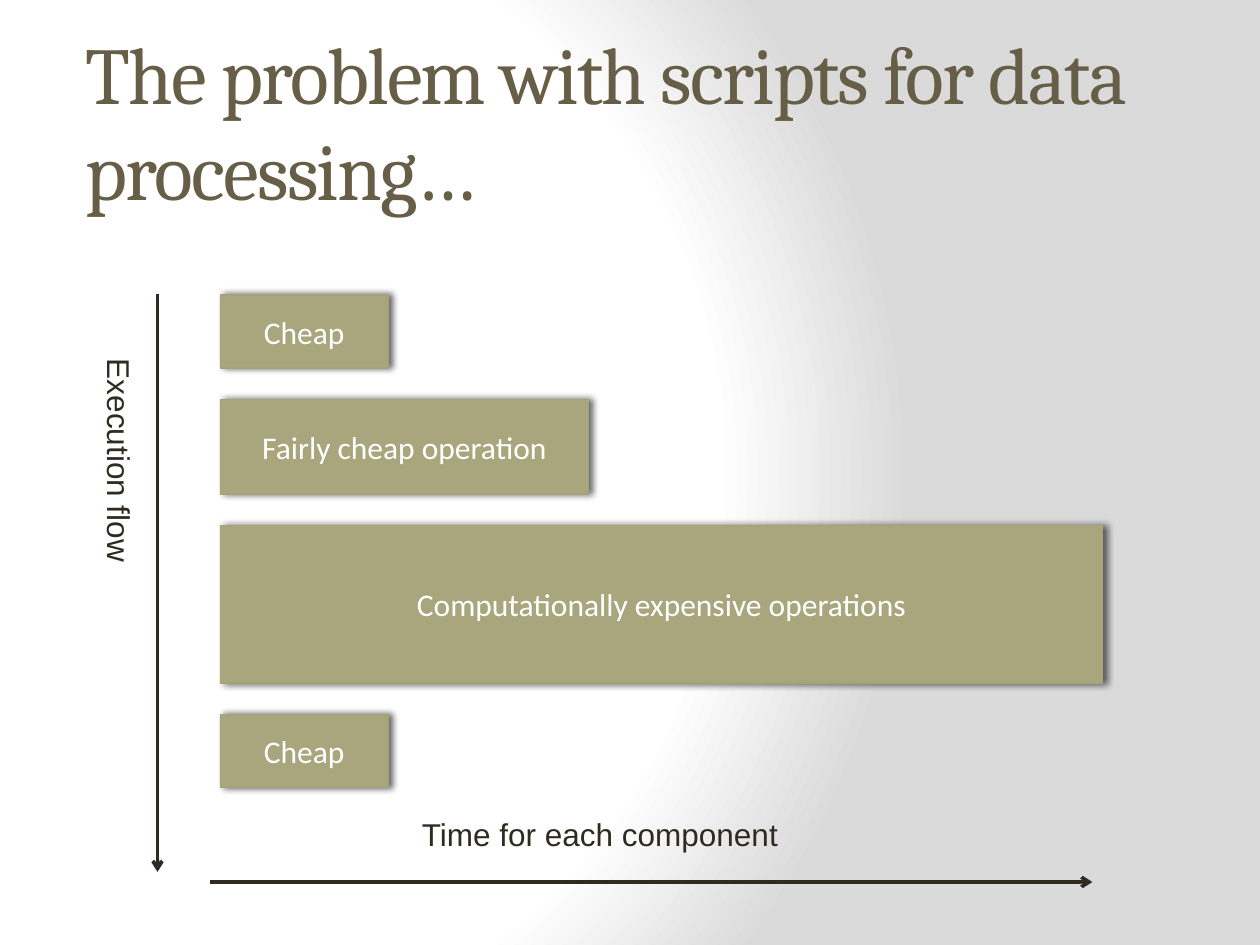
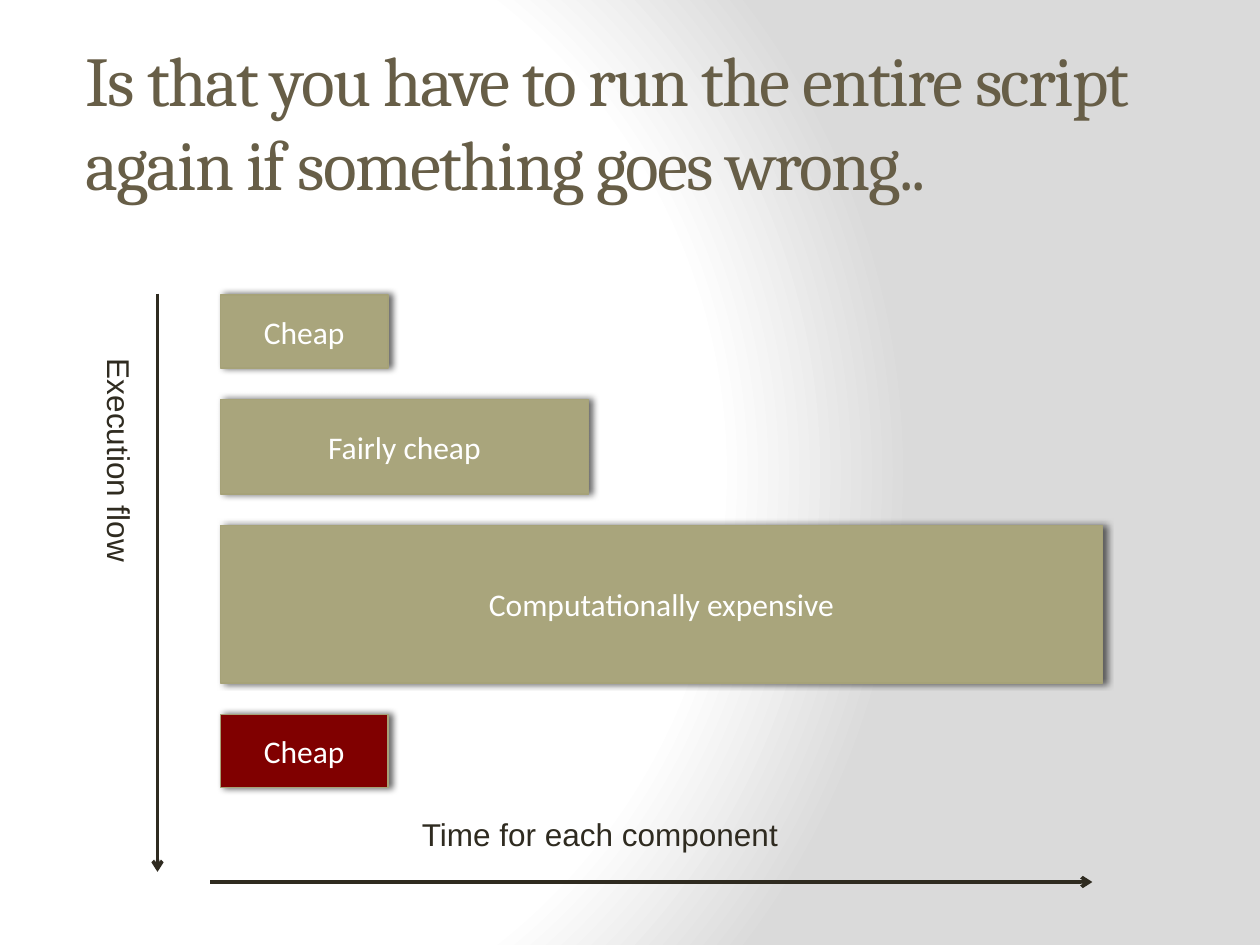
"""Build two slides that chart the time taken by each step of a data script."""
from dataclasses import dataclass

from lxml.etree import SubElement
from pptx import Presentation
from pptx.dml.color import RGBColor
from pptx.enum.shapes import MSO_CONNECTOR, MSO_SHAPE
from pptx.enum.text import MSO_ANCHOR, MSO_AUTO_SIZE, PP_ALIGN
from pptx.oxml.ns import qn
from pptx.util import Inches, Pt


@dataclass(frozen=True)
class Theme:
    title: str = "675E47"
    bar: str = "A9A57C"
    bar_edge: str = "A6A278"
    failed: str = "800000"
    bar_text: str = "FFFFFF"
    ink: str = "2F2B20"
    shadow: str = "000000"
    backdrop: tuple = ((0, "FFFFFF"), (75, "FFFFFF"), (100, "DADADA"))
    title_font: str = "Cambria"
    bar_font: str = "Calibri"
    label_font: str = "Arial"
    body_size: int = 18


THEME = Theme()

SLIDES = [
    {
        "title": "The problem with scripts for data processing…",
        "title_size": 46,
        "steps": ["Cheap", "Fairly cheap operation",
                  "Computationally expensive operations", "Cheap"],
        "failed_step": None,
    },
    {
        "title": "Is that you have to run the entire script again if something goes wrong..",
        "title_size": 40,
        "steps": ["Cheap", "Fairly cheap", "Computationally expensive", "Cheap"],
        "failed_step": 3,
    },
]
STEP_SIZES = [(1.33, 0.58), (2.92, 0.75), (7, 1.25), (1.33, 0.58)]
STEPS_LEFT, STEPS_TOP, STEP_GAP = 1.75, 2.34, 0.25
TITLE_BOX = (0.58, 0.33, 8.75, 1.25)
AXES = [
    {"label": "Time for each component", "box": (3.25, 6.42, 3.75, 0.4),
     "rotation": 0, "arrow": (1.67, 7, 8.67, 7)},
    {"label": "Execution flow", "box": (-0.8, 4.3, 3.5, 0.4),
     "rotation": 90, "arrow": (1.25, 2.33, 1.25, 6.92)},
]


def inches(values):
    return [Inches(value) for value in values]


def add_xml(parent, tag, **attributes):
    return SubElement(parent, qn(tag), {key: str(value) for key, value in attributes.items()})


def write(frame, text, font, size, color, align=PP_ALIGN.LEFT, **frame_format):
    for name, value in {"word_wrap": True, **frame_format}.items():
        setattr(frame, name, value)
    paragraph = frame.paragraphs[0]
    paragraph.alignment = align
    run = paragraph.add_run()
    run.text = text
    for name, value in {"name": font, "size": Pt(size)}.items():
        setattr(run.font, name, value)
    run.font.color.rgb = RGBColor.from_string(color)
    return run


def paint_backdrop(master):
    master.background.fill.solid()
    properties = next(master.element.iter(qn("p:bgPr")))
    properties.remove(properties[0])
    gradient = add_xml(properties, "a:gradFill", rotWithShape=1)
    properties.insert(0, gradient)
    stops = add_xml(gradient, "a:gsLst")
    for position, color in THEME.backdrop:
        add_xml(add_xml(stops, "a:gs", pos=position * 1000), "a:srgbClr", val=color)
    circle = add_xml(gradient, "a:path", path="circle")
    add_xml(circle, "a:fillToRect", l=20000, t=50000, r=100000, b=50000)


def add_title(slide, text, size):
    title = slide.shapes.title
    for name, value in zip(("left", "top", "width", "height"), inches(TITLE_BOX)):
        setattr(title, name, value)
    run = write(title.text_frame, text, THEME.title_font, size, THEME.title,
                vertical_anchor=MSO_ANCHOR.MIDDLE, auto_size=MSO_AUTO_SIZE.NONE)
    run.font._element.set("spc", "-100")


def add_step(slide, text, box, color):
    step = slide.shapes.add_shape(MSO_SHAPE.RECTANGLE, *inches(box))
    step.fill.solid()
    step.fill.fore_color.rgb = RGBColor.from_string(color)
    step.line.color.rgb = RGBColor.from_string(THEME.bar_edge)
    step.line.width = Pt(1)
    step.shadow.inherit = False
    effects = step.element.spPr.find(qn("a:effectLst"))
    shadow = add_xml(effects, "a:outerShdw", blurRad=Pt(4), dist=Pt(2), dir=0,
                     algn="ctr", rotWithShape=0)
    add_xml(add_xml(shadow, "a:srgbClr", val=THEME.shadow), "a:alpha", val=60000)
    write(step.text_frame, text, THEME.bar_font, THEME.body_size, THEME.bar_text,
          PP_ALIGN.CENTER, vertical_anchor=MSO_ANCHOR.MIDDLE)


def add_axis(slide, label, box, rotation, arrow):
    caption = slide.shapes.add_textbox(*inches(box))
    caption.rotation = rotation
    write(caption.text_frame, label, THEME.label_font, THEME.body_size, THEME.ink,
          auto_size=MSO_AUTO_SIZE.SHAPE_TO_FIT_TEXT)
    axis = slide.shapes.add_connector(MSO_CONNECTOR.STRAIGHT, *inches(arrow))
    axis.line.color.rgb = RGBColor.from_string(THEME.ink)
    axis.line.width = Pt(2)
    add_xml(axis.line._get_or_add_ln(), "a:tailEnd", type="arrow")
    add_xml(axis.element.spPr, "a:effectLst")


def add_timing_slide(deck, content):
    slide = deck.slides.add_slide(deck.slide_layouts.get_by_name("Title Only"))
    add_title(slide, content["title"], content["title_size"])
    top = STEPS_TOP
    for index, (text, (width, height)) in enumerate(zip(content["steps"], STEP_SIZES)):
        color = THEME.failed if index == content["failed_step"] else THEME.bar
        add_step(slide, text, (STEPS_LEFT, top, width, height), color)
        top += height + STEP_GAP
    for axis in AXES:
        add_axis(slide, **axis)


def main():
    deck = Presentation()
    deck.slide_width, deck.slide_height = inches((10, 7.5))
    paint_backdrop(deck.slide_master)
    for content in SLIDES:
        add_timing_slide(deck, content)
    deck.save("out.pptx")


if __name__ == "__main__":
    main()
